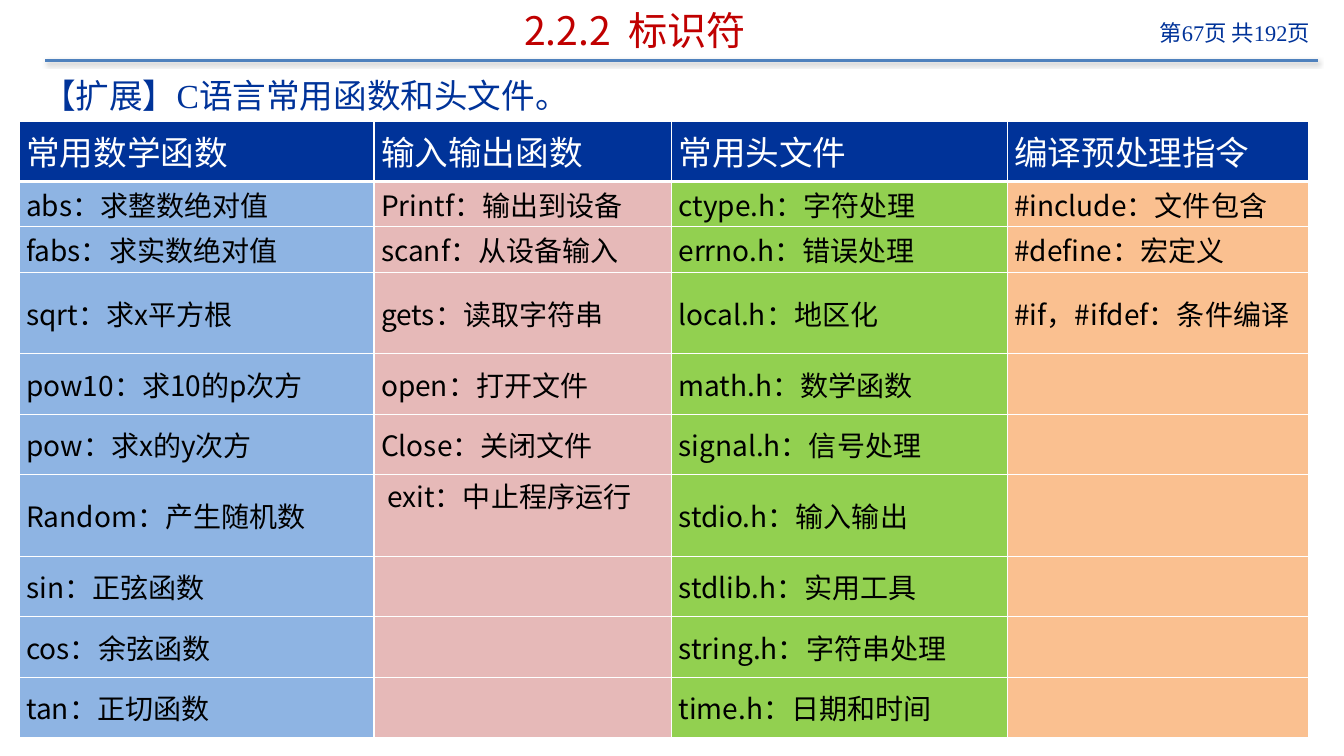
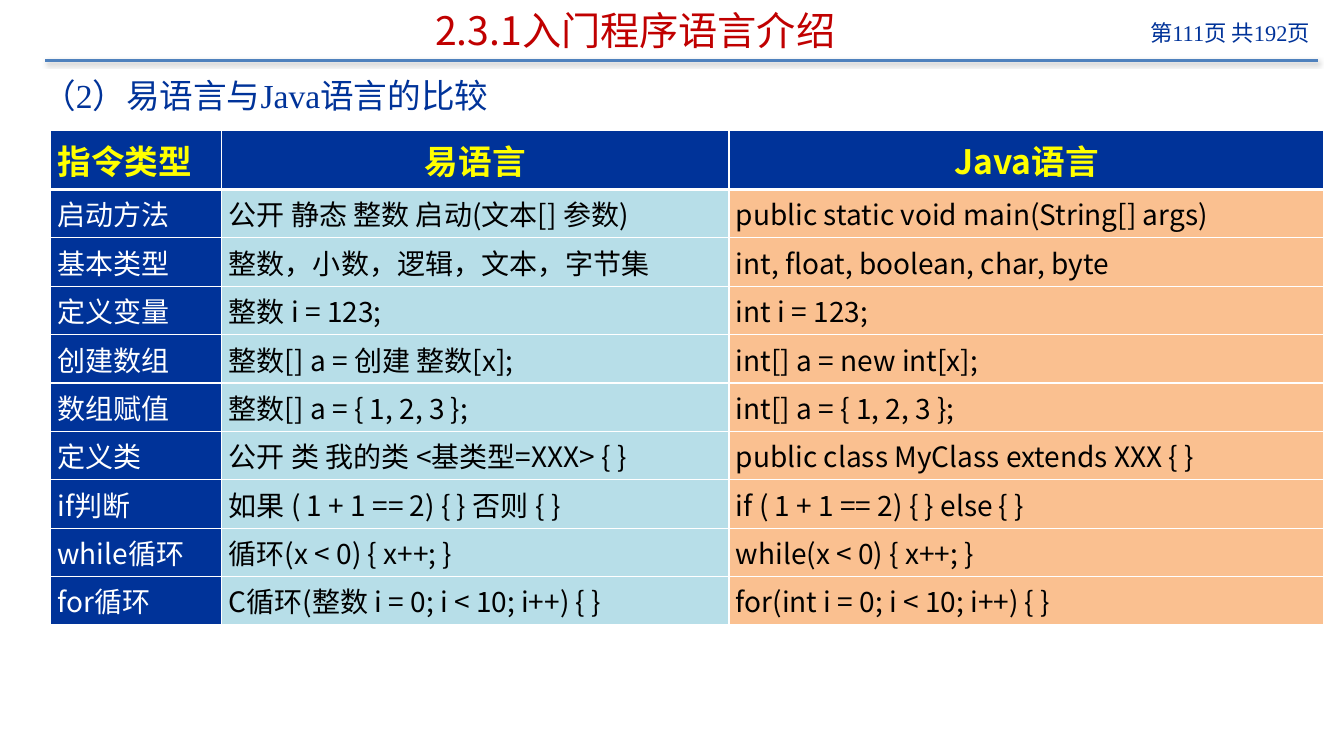
from lxml.etree import SubElement
from pptx import Presentation
from pptx.dml.color import RGBColor
from pptx.enum.shapes import MSO_CONNECTOR
from pptx.enum.text import MSO_ANCHOR as Anchor, PP_ALIGN as Align
from pptx.oxml import parse_xml
from pptx.oxml.ns import nsdecls, qn
from pptx.util import Inches, Pt

SANS, SERIF = "Noto Sans CJK SC", "Times New Roman"
NAVY, RED, RULE_BLUE = "003399", "C00000", "4F81BD"
WHITE, BLACK, YELLOW = "FFFFFF", "000000", "FFFF00"
BLUE, PINK, GREEN, ORANGE, TEAL = "8EB4E3", "E6B9B8", "92D050", "FAC090", "B7DEE8"
PAGE_COUNT = 192

TITLE = {"size": 28, "name": SANS, "color": RED}
PAGE_NUMBER = {"size": 16, "name": SERIF, "color": NAVY}
SUBTITLE = {"size": 24, "name": SERIF, "color": NAVY}
HEADER = {"size": 24, "name": SANS, "color": WHITE, "bold": False}
BOLD_HEADER = {**HEADER, "color": YELLOW, "bold": True}
BODY = {"size": 20, "name": SANS, "color": BLACK, "bold": False}
ROW_LABEL = {**BODY, "color": WHITE}

# Column: width, fill, body format, header alignment, body alignment
SLIDES = [
    {
        "title": "2.2.2  标识符",
        "page": 67,
        "subtitle": "【扩展】C语言常用函数和头文件。",
        "position": (0.19, 1.2),
        "header": HEADER,
        "columns": [
            (3.52, BLUE, BODY, Align.JUSTIFY, Align.JUSTIFY),
            (2.95, PINK, BODY, Align.JUSTIFY, Align.JUSTIFY),
            (3.33, GREEN, BODY, Align.JUSTIFY, Align.JUSTIFY),
            (2.99, ORANGE, BODY, Align.JUSTIFY, Align.JUSTIFY),
        ],
        "heights": [0.6, 0.45, 0.45, 0.81, 0.6, 0.6, 0.81, 0.6, 0.6, 0.6],
        "top_cells": [(6, 1)],
        "rows": [
            ("常用数学函数", "输入输出函数", "常用头文件", "编译预处理指令"),
            ("abs：求整数绝对值", "Printf：输出到设备", "ctype.h：字符处理", "#include：文件包含"),
            ("fabs：求实数绝对值", "scanf：从设备输入", "errno.h：错误处理", "#define：宏定义"),
            ("sqrt：求x平方根", "gets：读取字符串", "local.h：地区化", "#if，#ifdef：条件编译"),
            ("pow10：求10的p次方", "open：打开文件", "math.h：数学函数", ""),
            ("pow：求x的y次方", "Close：关闭文件", "signal.h：信号处理", ""),
            ("Random：产生随机数", " exit：中止程序运行", "stdio.h：输入输出", ""),
            ("sin：正弦函数", "", "stdlib.h：实用工具", ""),
            ("cos：余弦函数", "", "string.h：字符串处理", ""),
            ("tan：正切函数", "", "time.h：日期和时间", ""),
        ],
    },
    {
        "title": "2.3.1入门程序语言介绍",
        "page": 111,
        "subtitle": "（2）易语言与Java语言的比较",
        "position": (0.5, 1.29),
        "header": BOLD_HEADER,
        "columns": [
            (1.7, NAVY, ROW_LABEL, Align.LEFT, Align.JUSTIFY),
            (5.03, TEAL, BODY, Align.CENTER, Align.LEFT),
            (5.9, ORANGE, BODY, Align.CENTER, Align.LEFT),
        ],
        "heights": [0.59] + [0.48] * 9,
        "top_cells": [],
        "rows": [
            ("指令类型", "易语言", "Java语言"),
            ("启动方法", "公开 静态 整数 启动(文本[] 参数)", "public static void main(String[] args)"),
            ("基本类型", "整数，小数，逻辑，文本，字节集", "int, float, boolean, char, byte"),
            ("定义变量", "整数 i = 123;", "int i = 123;"),
            ("创建数组", "整数[] a = 创建 整数[x];", "int[] a = new int[x];"),
            ("数组赋值", "整数[] a = { 1, 2, 3 };", "int[] a = { 1, 2, 3 };"),
            ("定义类", "公开 类 我的类 <基类型=XXX> { }", "public class MyClass extends XXX { }"),
            ("if判断", "如果 ( 1 + 1 == 2) { } 否则 { }", "if ( 1 + 1 == 2) { } else { }"),
            ("while循环", "循环(x < 0) { x++; }", "while(x < 0) { x++; }"),
            ("for循环", "C循环(整数 i = 0; i < 10; i++) { }", "for(int i = 0; i < 10; i++) { }"),
        ],
    },
]


def rgb(value):
    return RGBColor.from_string(value)


def write_text(frame, text, text_format, alignment):
    paragraph = frame.paragraphs[0]
    paragraph.alignment = alignment
    run = paragraph.add_run()
    run.text = text
    for name, value in text_format.items():
        if name == "color":
            run.font.color.rgb = rgb(value)
        else:
            setattr(run.font, name, Pt(value) if name == "size" else value)
    SubElement(run._r.get_or_add_rPr(), qn("a:ea"), typeface=SANS)


def add_text(slide, box, text, text_format, alignment, anchor=Anchor.TOP):
    frame = slide.shapes.add_textbox(*map(Inches, box)).text_frame
    frame.word_wrap = True
    frame.vertical_anchor = anchor
    write_text(frame, text, text_format, alignment)


def add_title_rule(slide):
    """Draw the line below the title, with its soft shadow."""
    ends = map(Inches, (0.45, 0.6, 13.07, 0.6))
    rule = slide.shapes.add_connector(MSO_CONNECTOR.STRAIGHT, *ends)
    rule.line.color.rgb = rgb(RULE_BLUE)
    rule.line.width = Pt(2)
    rule._element.spPr.append(parse_xml(
        f'<a:effectLst {nsdecls("a")}>'
        f'<a:outerShdw blurRad="{Pt(3.1)}" dist="{Pt(1.6)}" dir="5400000" rotWithShape="0">'
        f'<a:srgbClr val="{BLACK}"><a:alpha val="38000"/></a:srgbClr>'
        '</a:outerShdw></a:effectLst>'))


def set_borders(cell, row):
    """Give white borders, thicker between the header and the first row."""
    widths = {"L": 1, "R": 1, "T": 3 if row == 1 else 1, "B": 3 if row == 0 else 1}
    properties = cell._tc.get_or_add_tcPr()
    for side, width in widths.items():
        properties.append(parse_xml(
            f'<a:ln{side} {nsdecls("a")} w="{Pt(width)}"><a:solidFill>'
            f'<a:srgbClr val="{WHITE}"/></a:solidFill></a:ln{side}>'))


def add_table(slide, content):
    columns, heights, rows = (content[key] for key in ("columns", "heights", "rows"))
    size = (sum(column[0] for column in columns), sum(heights))
    box = map(Inches, content["position"] + size)
    table = slide.shapes.add_table(len(rows), len(columns), *box).table
    table.horz_banding = False
    for row, height in enumerate(heights):
        table.rows[row].height = Inches(height)
    for index, (width, fill, body, header_align, body_align) in enumerate(columns):
        table.columns[index].width = Inches(width)
        for row, texts in enumerate(rows):
            is_header = row == 0
            cell = table.cell(row, index)
            cell.margin_left = cell.margin_right = Inches(0.07)
            cell.margin_top = cell.margin_bottom = 0
            is_top = (row, index) in content["top_cells"]
            cell.vertical_anchor = Anchor.TOP if is_top else Anchor.MIDDLE
            set_borders(cell, row)
            cell.fill.solid()
            cell.fill.fore_color.rgb = rgb(NAVY if is_header else fill)
            if texts[index]:
                write_text(cell.text_frame, texts[index],
                           content["header"] if is_header else body,
                           header_align if is_header else body_align)


def add_slide(presentation, content):
    slide = presentation.slides.add_slide(presentation.slide_layouts[6])
    add_title_rule(slide)
    page_text = f"第{content['page']}页 共{PAGE_COUNT}页"
    add_text(slide, (10.83, 0.14, 2.26, 0.45), page_text, PAGE_NUMBER, Align.RIGHT)
    add_text(slide, (0.77, 0.02, 11.06, 0.56), content["title"], TITLE,
             Align.CENTER, Anchor.MIDDLE)
    add_text(slide, (0.32, 0.69, 12.74, 0.5), content["subtitle"], SUBTITLE, Align.LEFT)
    add_table(slide, content)


def main():
    presentation = Presentation()
    presentation.slide_width = Inches(13.33)
    presentation.slide_height = Inches(7.5)
    for content in SLIDES:
        add_slide(presentation, content)
    presentation.save("out.pptx")


if __name__ == "__main__":
    main()
